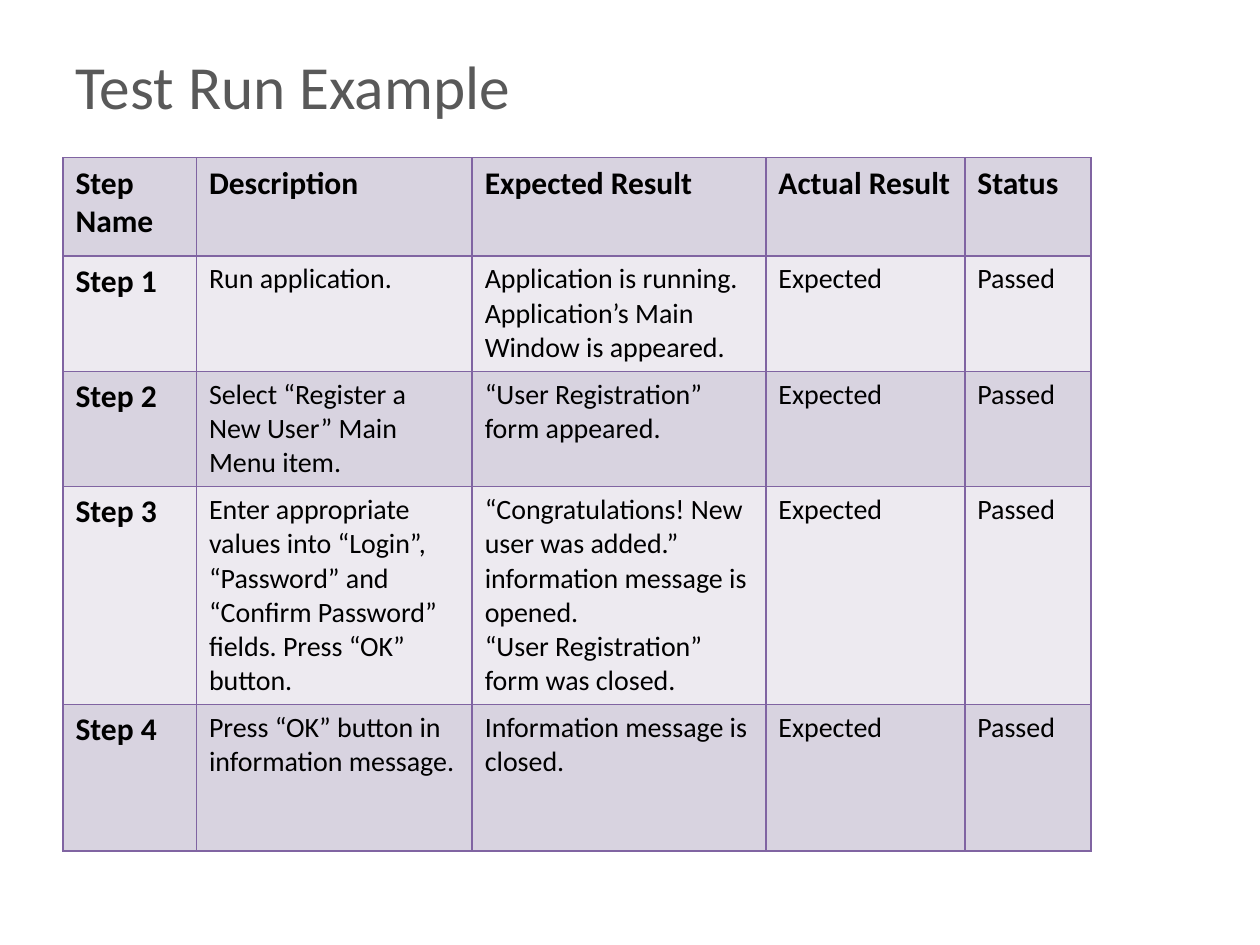
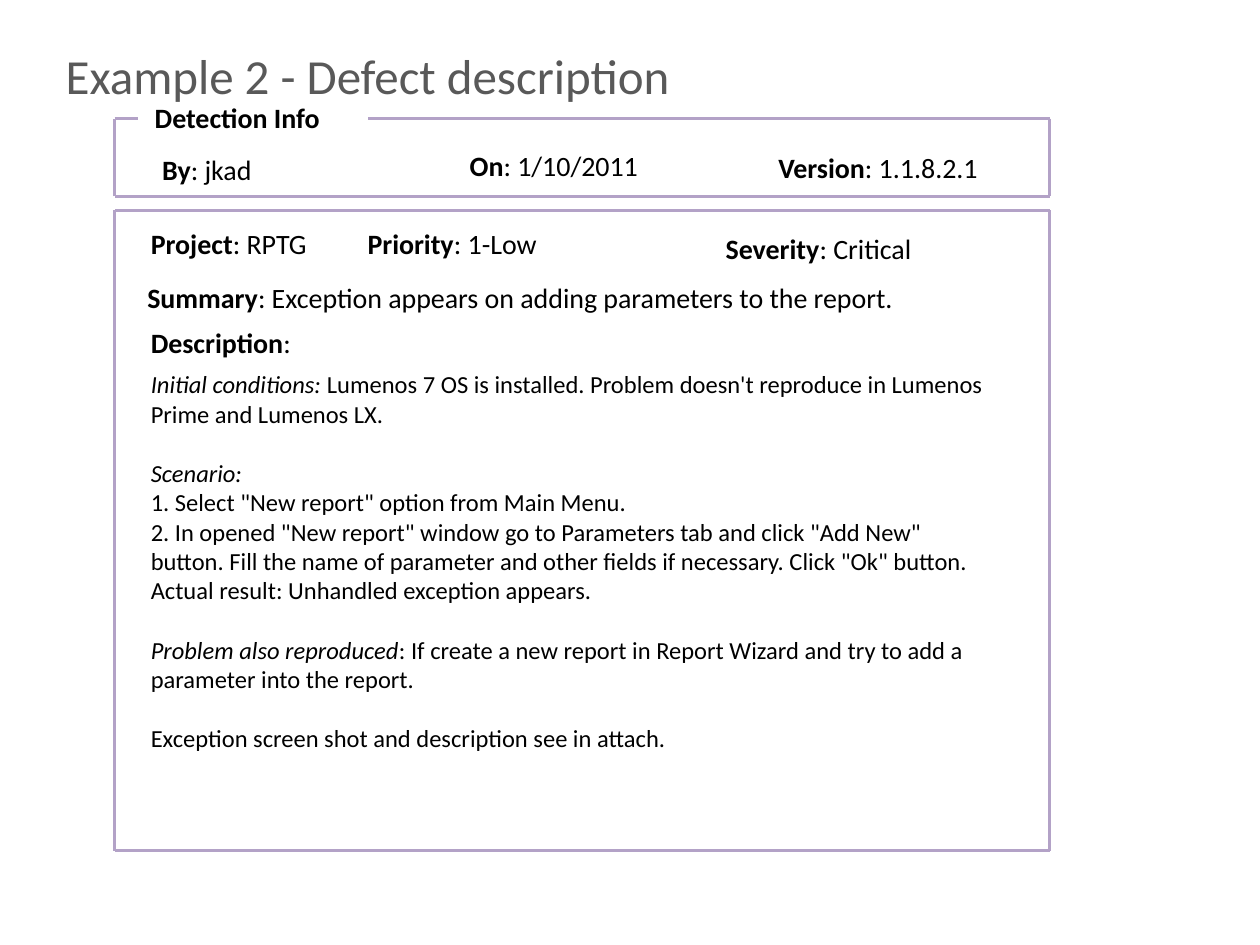
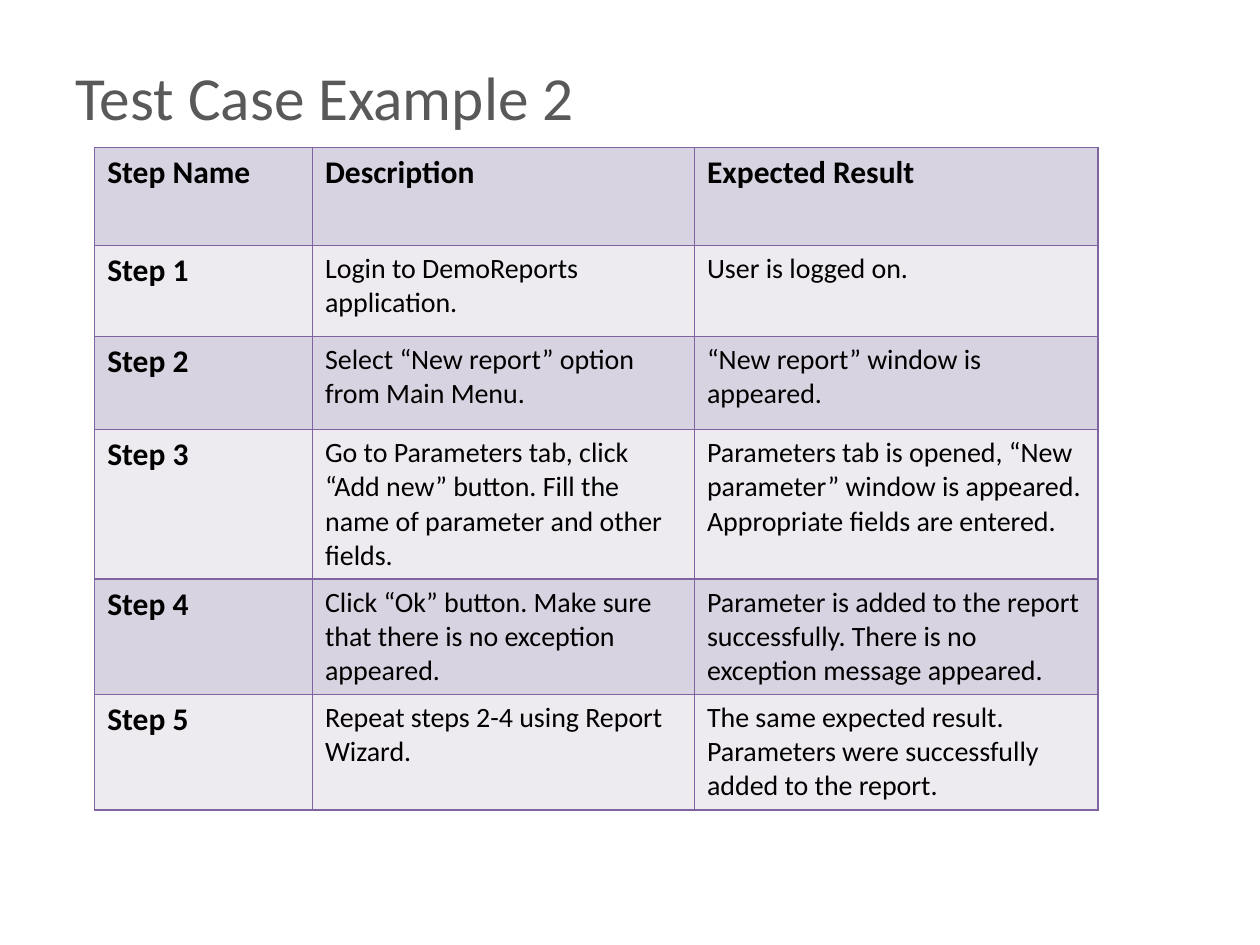
from dataclasses import dataclass

from pptx import Presentation
from pptx.dml.color import RGBColor
from pptx.enum.shapes import MSO_CONNECTOR
from pptx.enum.text import MSO_ANCHOR, MSO_AUTO_SIZE, PP_ALIGN
from pptx.oxml import parse_xml
from pptx.oxml.ns import nsdecls
from pptx.util import Cm, Pt


@dataclass(frozen=True)
class Theme:
    font: str = "Calibri"
    title_color: str = "595959"
    text_color: str = "000000"
    border: str = "8064A2"
    frame: str = "B3A2C7"
    dark_row: str = "D8D3E0"
    light_row: str = "EDEAF0"
    title_size: int = 35
    small_title_size: int = 28
    head_size: int = 18
    body_size: int = 16
    detail_size: int = 14


THEME = Theme()
TITLE_ONLY = 5

TEST_RUN = {
    "title": "Test Run Example",
    "title_at": (1.27, 0.84, 9.35, 1.75),
    "table_at": (1.27, 3.18),
    "columns": (2.69, 5.56, 5.92, 4.01, 2.54),
    "heights": (1.98, 2.29, 2.29, 4.32, 2.95),
    "rows": [
        ("Step Name", "Description", "Expected Result", "Actual Result", "Status"),
        ("Step 1", "Run application.",
         "Application is running. Application’s Main Window is appeared.",
         "Expected", "Passed"),
        ("Step 2", "Select “Register a New User” Main Menu item.",
         "“User Registration” form appeared.", "Expected", "Passed"),
        ("Step 3",
         "Enter appropriate values into “Login”, “Password” and "
         "“Confirm Password” fields. Press “OK” button.",
         "“Congratulations! New user was added.” information message is opened.\n"
         "“User Registration” form was closed.", "Expected", "Passed"),
        ("Step 4", "Press “OK” button in information message.",
         "Information message is closed.", "Expected", "Passed"),
    ],
}

TEST_CASE = {
    "title": "Test Case Example 2",
    "title_at": (1.27, 1.07, 10.64, 1.75),
    "table_at": (1.91, 2.97),
    "columns": (4.39, 7.7, 8.13),
    "heights": (1.98, 1.83, 1.88, 2.97, 2.29, 2.29),
    "rows": [
        ("Step Name", "Description", "Expected Result"),
        ("Step 1", "Login to DemoReports application.", "User is logged on."),
        ("Step 2", "Select “New report” option from Main Menu.",
         "“New report” window is appeared."),
        ("Step 3",
         "Go to Parameters tab, click “Add new” button. "
         "Fill the name of parameter and other fields.",
         "Parameters tab is opened, “New parameter” window is appeared. "
         "Appropriate fields are entered."),
        ("Step 4", "Click “Ok” button. Make sure that there is no exception appeared.",
         "Parameter is added to the report successfully. "
         "There is no exception message appeared."),
        ("Step 5", "Repeat steps 2-4 using Report Wizard.",
         "The same expected result. Parameters were successfully added to the report."),
    ],
}

DEFECT_TITLE = "Example 2 - Defect description"
DEFECT_TITLE_AT = (1.07, 0.79, 12.83, 1.45)
FIELD_HEIGHT = 0.94
FIELDS = [
    ("Detection Info", "", 2.87, 1.91, 3.89),
    ("By", ": jkad", 3.02, 2.95, 2.31),
    ("On", ": 1/10/2011", 9.22, 2.87, 3.94),
    ("Version", ": 1.1.8.2.1", 15.44, 2.92, 4.57),
    ("Project", ": RPTG", 2.79, 4.45, 3.71),
    ("Priority", ": 1-Low", 7.16, 4.45, 3.96),
    ("Severity", ": Critical", 14.38, 4.55, 4.29),
    ("Summary", ": Exception appears on adding parameters to the report.",
     2.72, 5.54, 15.62),
]
DESCRIPTION_AT = (2.79, 6.43, 17.55, 8.94)
DESCRIPTION_HEAD = [("Description", "b"), (":", "")]
DESCRIPTION = [
    (6, [("Initial conditions: ", "i"),
         ("Lumenos 7 OS is installed. Problem doesn't reproduce in "
          "Lumenos Prime and Lumenos LX.", "")]),
    (17, [("Scenario:", "i")]),
    (0, [('1. Select "New report" option from Main Menu.', "")]),
    (0, [('2. In opened "New report" window go to Parameters tab and click "Add New" '
          'button. Fill the name of parameter and other fields if necessary. '
          'Click "Ok" button.', "")]),
    (0, [("Actual result: Unhandled exception appears.", "")]),
    (17, [("Problem also reproduced", "i"),
          (": If create a new report in Report Wizard and try to add a "
           "parameter into the report.", "")]),
    (17, [("Exception screen shot and description see in attach.", "")]),
]

LEFT, RIGHT = 2.31, 21.16
DETECTION_TOP, DETECTION_BOTTOM = 2.39, 3.96
LABEL_START, LABEL_END = 2.79, 7.42
DETAILS_TOP, DETAILS_BOTTOM = 4.24, 17.15
DETECTION_OUTLINE = [
    (LABEL_END, DETECTION_TOP), (RIGHT, DETECTION_TOP), (RIGHT, DETECTION_BOTTOM),
    (LEFT, DETECTION_BOTTOM), (LEFT, DETECTION_TOP), (LABEL_START, DETECTION_TOP),
]
DETAILS_OUTLINE = [
    (LEFT, DETAILS_TOP), (LEFT, DETAILS_BOTTOM), (RIGHT, DETAILS_BOTTOM),
    (RIGHT, DETAILS_TOP), (LEFT, DETAILS_TOP),
]


def lengths(values):
    return [Cm(value) for value in values]


def write(para, text, size=THEME.body_size, color=THEME.text_color,
          bold=False, italic=False):
    span = para.add_run()
    span.text = text
    span.font.name = THEME.font
    span.font.size = Pt(size)
    span.font.bold = bold
    span.font.italic = italic
    span.font.color.rgb = RGBColor.from_string(color)


def write_spans(para, spans, size=THEME.body_size):
    for text, style in spans:
        write(para, text, size=size, bold=style == "b", italic=style == "i")


def add_page(deck, title, place, size=THEME.title_size):
    page = deck.slides.add_slide(deck.slide_layouts[TITLE_ONLY])
    box = page.shapes.title
    box.left, box.top, box.width, box.height = lengths(place)
    frame = box.text_frame
    frame.auto_size = MSO_AUTO_SIZE.NONE
    frame.word_wrap = False
    frame.vertical_anchor = MSO_ANCHOR.TOP
    frame.paragraphs[0].alignment = PP_ALIGN.LEFT
    write(frame.paragraphs[0], title, size=size, color=THEME.title_color)
    return page


def add_text_box(page, place, wrap):
    frame = page.shapes.add_textbox(*lengths(place)).text_frame
    frame.word_wrap = wrap
    return frame


def set_borders(cell):
    properties = cell._tc.get_or_add_tcPr()
    for side in ("lnL", "lnR", "lnT", "lnB"):
        properties.append(parse_xml(
            f'<a:{side} {nsdecls("a")} w="{Pt(1)}"><a:solidFill>'
            f'<a:srgbClr val="{THEME.border}"/></a:solidFill></a:{side}>'))


def add_steps_page(deck, steps):
    page = add_page(deck, steps["title"], steps["title_at"])
    columns, heights, rows = steps["columns"], steps["heights"], steps["rows"]
    place = lengths((*steps["table_at"], sum(columns), sum(heights)))
    table = page.shapes.add_table(len(rows), len(columns), *place).table
    table.first_row = table.horz_banding = False
    for column, width in zip(table.columns, columns):
        column.width = Cm(width)
    for row_index, (height, texts) in enumerate(zip(heights, rows)):
        table.rows[row_index].height = Cm(height)
        fill = THEME.light_row if row_index % 2 else THEME.dark_row
        for column_index, text in enumerate(texts):
            cell = table.cell(row_index, column_index)
            set_borders(cell)
            cell.fill.solid()
            cell.fill.fore_color.rgb = RGBColor.from_string(fill)
            head = row_index == 0 or column_index == 0
            size = THEME.head_size if head else THEME.body_size
            for line_index, line in enumerate(text.split("\n")):
                frame = cell.text_frame
                para = frame.add_paragraph() if line_index else frame.paragraphs[0]
                write(para, line, size=size, bold=head)


def add_outline(page, points):
    group = page.shapes.add_group_shape()
    for start, end in zip(points, points[1:]):
        line = group.shapes.add_connector(
            MSO_CONNECTOR.STRAIGHT, *lengths((*start, *end)))
        line.line.color.rgb = RGBColor.from_string(THEME.frame)
        line.line.width = Pt(1.5)
        line._element.spPr.append(parse_xml(f'<a:effectLst {nsdecls("a")}/>'))


def add_defect_page(deck):
    page = add_page(deck, DEFECT_TITLE, DEFECT_TITLE_AT, size=THEME.small_title_size)
    for outline in (DETECTION_OUTLINE, DETAILS_OUTLINE):
        add_outline(page, outline)
    for label, value, left, top, width in FIELDS:
        frame = add_text_box(page, (left, top, width, FIELD_HEIGHT), wrap=False)
        spans = [(label, "b"), (value, "")] if value else [(label, "b")]
        write_spans(frame.paragraphs[0], spans)
    frame = add_text_box(page, DESCRIPTION_AT, wrap=True)
    write_spans(frame.paragraphs[0], DESCRIPTION_HEAD)
    for space, spans in DESCRIPTION:
        para = frame.add_paragraph()
        para.space_before = Pt(space)
        write_spans(para, spans, size=THEME.detail_size)


def main():
    deck = Presentation()
    deck.slide_width, deck.slide_height = Cm(25.4), Cm(19.05)
    add_steps_page(deck, TEST_RUN)
    add_defect_page(deck)
    add_steps_page(deck, TEST_CASE)
    deck.save("out.pptx")


if __name__ == "__main__":
    main()
